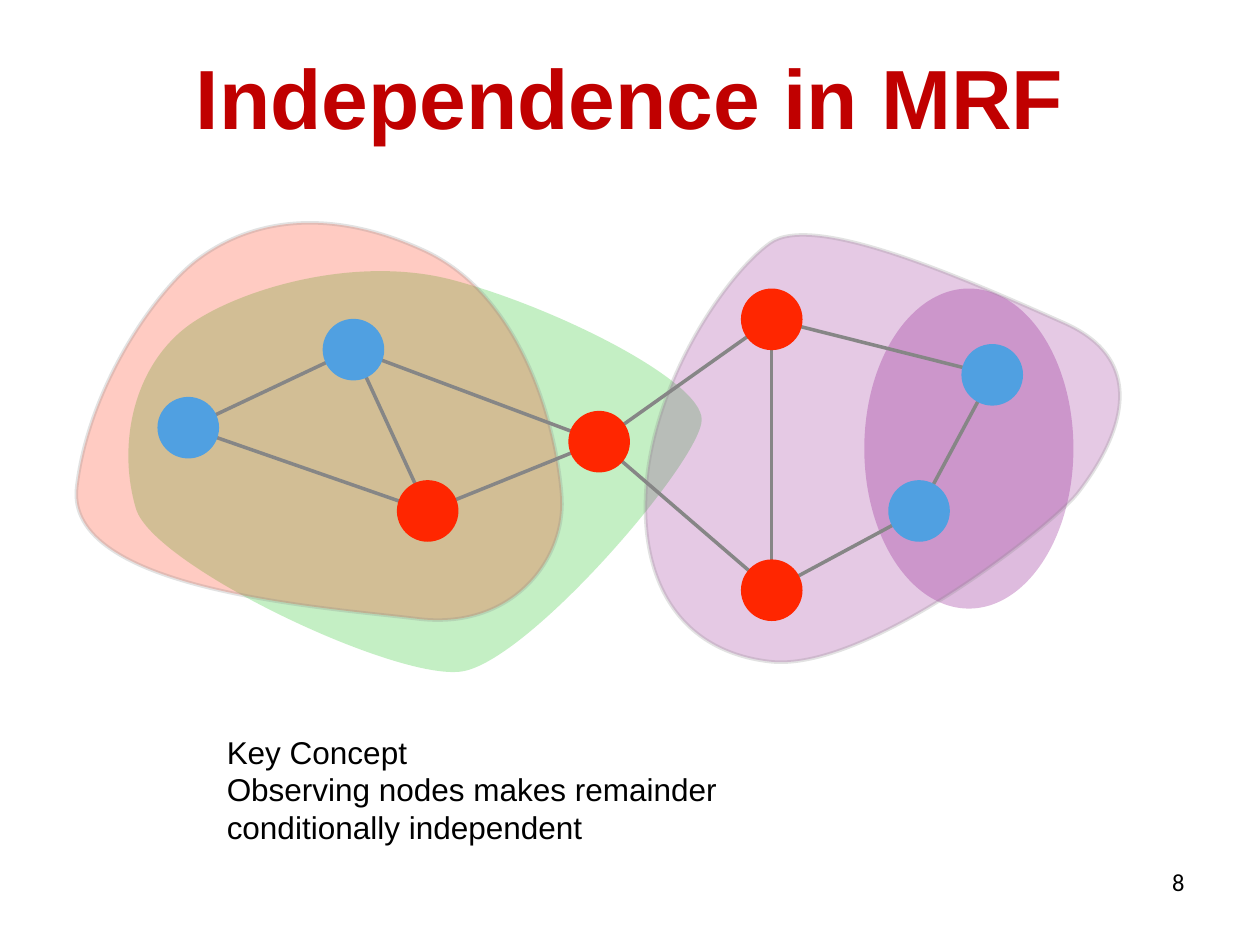
from lxml.etree import SubElement
from pptx import Presentation
from pptx.dml.color import RGBColor
from pptx.enum.shapes import MSO_CONNECTOR, MSO_SHAPE
from pptx.enum.text import MSO_ANCHOR, MSO_AUTO_SIZE, PP_ALIGN
from pptx.oxml.ns import qn
from pptx.util import Pt

COLORS = {
    "title": "C00000", "text": "000000", "edge": "868686",
    "hidden": "50A0E1", "observed": "FF2600",
    "green": "00BD00", "purple": "942192", "red": "FF2600",
}
NODE_SIZE = 35.2

# Node: centre x, centre y, kind
NODES = {
    "left": (107.6, 244.4, "hidden"),
    "upper left": (202, 199.8, "hidden"),
    "lower right": (525.2, 292, "hidden"),
    "upper right": (567, 214.2, "hidden"),
    "hub": (342.4, 252.4, "observed"),
    "top": (441, 182.5, "observed"),
    "bottom": (441, 337.3, "observed"),
    "lower left": (244.4, 292, "observed"),
}
EDGES = [
    ("hub", "bottom"), ("lower right", "bottom"), ("hub", "top"),
    ("top", "upper right"), ("upper right", "lower right"), ("top", "bottom"),
    ("upper left", "hub"), ("hub", "lower left"), ("lower left", "upper left"),
    ("left", "upper left"), ("lower left", "left"),
]

# Closed outlines: each row is two control points and an end point;
# the last end point is also the start
GREEN_REGION = [
    ((129.6, 167.8), (199.4, 144.7), (257.8, 159.8)),
    ((316.1, 175), (401, 217.4), (401, 239.8)),
    ((401, 262.8), (301.7, 378.7), (263.5, 383.8)),
    ((225.4, 388.8), (87.8, 323.3), (77.8, 290.9)),
    ((67.7, 257.8), (74.2, 213.8), (104.4, 188.6)),
]
PURPLE_REGION = [
    ((464.4, 121), (549.4, 158.4), (609.1, 185)),
    ((668.9, 212.4), (625, 270), (615.6, 282.2)),
    ((599, 302.4), (493.2, 385.2), (439.2, 378)),
    ((385.9, 371.5), (362.9, 328.3), (370.1, 269.3)),
    ((378, 210.2), (416.9, 155.5), (439.9, 139)),
]
RED_REGION = [
    ((138.2, 129.6), (180.7, 115.2), (241.2, 142.6)),
    ((301, 169.2), (319, 249.8), (321.1, 285.1)),
    ((322.6, 321.1), (291.6, 360.7), (237.6, 353.5)),
    ((183.6, 347), (36, 337), (43.9, 277.9)),
    ((51.1, 218.9), (90.7, 164.2), (113.8, 147.6)),
]
KEY_CONCEPT = ["Key Concept", "Observing nodes makes remainder",
               "conditionally independent"]


def color(name):
    return RGBColor.from_string(COLORS[name])


def set_opacity(fill_owner, percent):
    for tint in fill_owner.iter(qn("a:srgbClr")):
        SubElement(tint, qn("a:alpha"), val=str(percent * 1000))


def style_shape(shape, fill, opacity=None, outlined=False):
    shape.shadow.inherit = False
    shape.fill.solid()
    shape.fill.fore_color.rgb = color(fill)
    if outlined:
        shape.line.color.rgb = color("edge")
        shape.line.width = Pt(2)
    else:
        shape.line.fill.background()
    if opacity:
        set_opacity(shape.element.spPr, opacity)


def curve_point(p0, p1, p2, p3, t):
    s = 1 - t
    return tuple(Pt(s**3 * a + 3 * s * s * t * b + 3 * s * t * t * c + t**3 * d)
                 for a, b, c, d in zip(p0, p1, p2, p3))


def add_region(page, curves, fill, opacity, outlined=False):
    """Size a freeform by points along its curves, then draw true curves."""
    start = curves[-1][-1]
    points, corner = [], start
    for first, second, end in curves:
        points += [curve_point(corner, first, second, end, step / 20)
                   for step in range(1, 21)]
        corner = end
    builder = page.shapes.build_freeform(Pt(start[0]), Pt(start[1]), scale=1.0)
    builder.add_line_segments(points, close=True)
    region = builder.convert_to_shape()
    outline = next(region.element.iter(qn("a:path")))
    for segment in list(outline):
        outline.remove(segment)

    def add_segment(tag, segment_points):
        segment = SubElement(outline, qn(tag))
        for x, y in segment_points:
            SubElement(segment, qn("a:pt"), x=str(Pt(x) - region.left),
                       y=str(Pt(y) - region.top))

    add_segment("a:moveTo", [start])
    for curve in curves:
        add_segment("a:cubicBezTo", curve)
    add_segment("a:close", [])
    style_shape(region, fill, opacity, outlined)


def add_ellipse(page, left, top, width, height, fill, opacity=None):
    ellipse = page.shapes.add_shape(MSO_SHAPE.OVAL, Pt(left), Pt(top),
                                    Pt(width), Pt(height))
    style_shape(ellipse, fill, opacity)


def add_edge(page, start, end):
    (x1, y1, _), (x2, y2, _) = NODES[start], NODES[end]
    edge = page.shapes.add_connector(MSO_CONNECTOR.STRAIGHT,
                                     Pt(x1), Pt(y1), Pt(x2), Pt(y2))
    edge.line.color.rgb = color("edge")
    edge.line.width = Pt(2)
    SubElement(edge.element.spPr, qn("a:effectLst"))


def add_text(page, bounds, lines, size, font="Arial", ink="text", bold=False,
             align=PP_ALIGN.LEFT, anchor=MSO_ANCHOR.MIDDLE):
    box = page.shapes.add_textbox(*map(Pt, bounds))
    frame = box.text_frame
    frame.word_wrap = True
    frame.vertical_anchor = anchor
    for index, line in enumerate(lines):
        para = frame.add_paragraph() if index else frame.paragraphs[0]
        para.alignment = align
        span = para.add_run()
        span.text = line
        span.font.size = Pt(size)
        span.font.name = font
        span.font.bold = bold
        span.font.color.rgb = color(ink)
    return frame


def main():
    deck = Presentation()
    deck.slide_width, deck.slide_height = Pt(720), Pt(540)
    page = deck.slides.add_slide(deck.slide_layouts[6])

    # Page number and title
    add_text(page, (516.2, 491.8, 167.8, 37.4), ["8"], 14, font="Calibri",
             align=PP_ALIGN.RIGHT, anchor=MSO_ANCHOR.TOP)
    add_text(page, (0, 8.6, 720, 92.9), ["Independence in MRF"], 48,
             ink="title", bold=True, align=PP_ALIGN.CENTER)

    # Shaded regions
    add_region(page, GREEN_REGION, "green", 23)
    add_ellipse(page, 493.9, 164.9, 119.5, 182.9, "purple", 30)
    add_region(page, PURPLE_REGION, "purple", 24, outlined=True)
    add_region(page, RED_REGION, "red", 24, outlined=True)

    # Graph
    for start, end in EDGES:
        add_edge(page, start, end)
    for x, y, kind in NODES.values():
        add_ellipse(page, x - NODE_SIZE / 2, y - NODE_SIZE / 2,
                    NODE_SIZE, NODE_SIZE, kind)

    # Key concept
    frame = add_text(page, (126.7, 392.4, 465.1, 117.4), KEY_CONCEPT, 18)
    frame.margin_left = frame.margin_right = Pt(2.9)
    frame.margin_top = frame.margin_bottom = Pt(2.9)
    frame.auto_size = MSO_AUTO_SIZE.NONE

    deck.save("out.pptx")


if __name__ == "__main__":
    main()
